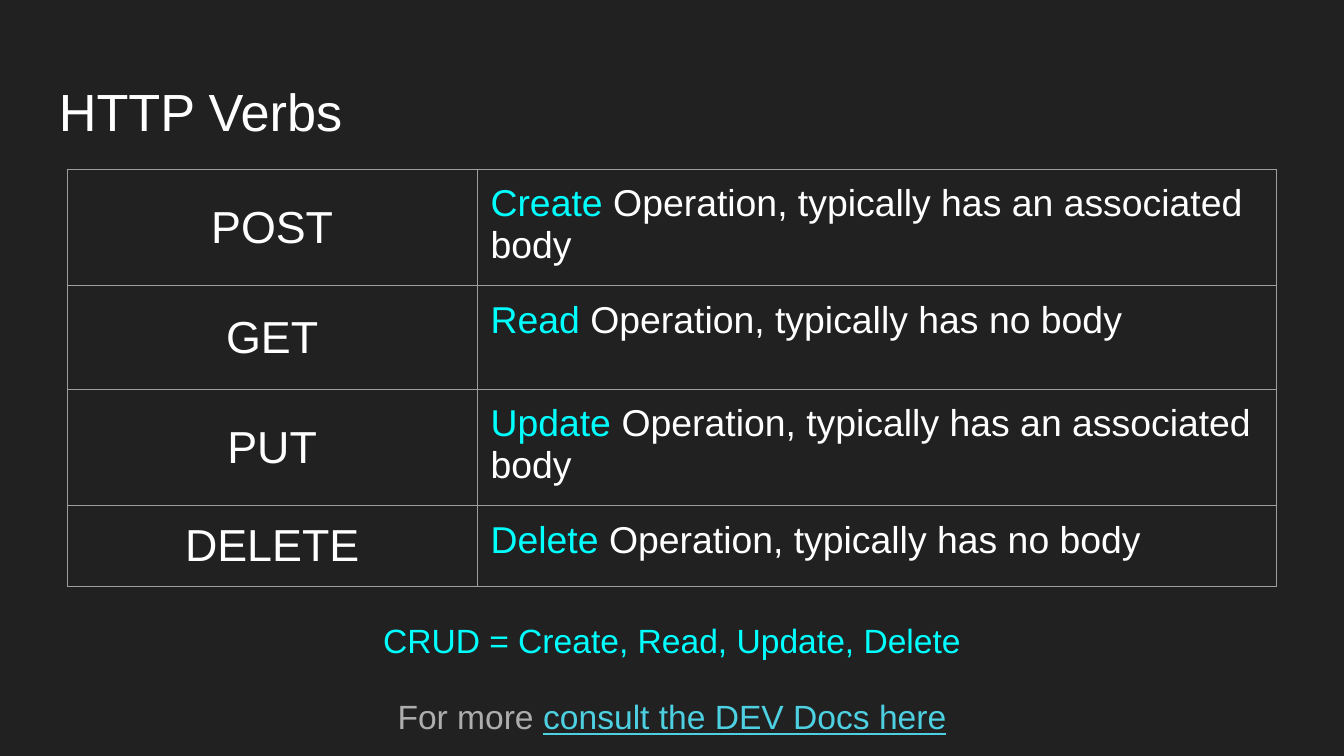
from lxml import etree
from pptx import Presentation, util as u
from pptx.dml.color import RGBColor
from pptx.enum import text
from pptx.oxml.ns import qn

# Content
TITLE = "HTTP Verbs"
VERBS = [  # verb, operation, rest of line, least row height
    ("POST", "Create", " Operation, typically has an associated body", 0.67),
    ("GET", "Read", " Operation, typically has no body", 0.77),
    ("PUT", "Update", " Operation, typically has an associated body", 0.42),
    ("DELETE", "Delete", " Operation, typically has no body", 0.58),
]
CRUD = "CRUD = Create, Read, Update, Delete"
MORE = ("For more ", "consult the DEV Docs here")
HUES = {"back": "212121", "text": "FFFFFF", "key": "00FFFF",
        "grey": "ADADAD", "link": "4DD0E1", "rule": "9E9E9E"}

# Layout
WIDE = 10
HIGH = WIDE * 9 / 16
EDGE, PAD = 0.34, 0.1
LEFT, TOP = 0.5, 1.26
COLS = (3.05, 5.95)


def rgb(hue):
    return RGBColor.from_string(HUES[hue])


def style(par, size, align=text.PP_ALIGN.LEFT):
    par.font.size, par.font.name = u.Pt(size), "Arial"
    par.alignment = align


def add_run(par, words, hue):
    run = par.add_run()
    run.text = words
    run.font.color.rgb = rgb(hue)
    return run


def pad(item):
    item.margin_left = item.margin_right = u.Inches(PAD)
    item.margin_top = item.margin_bottom = u.Inches(PAD)


def add_box(top, high):
    box = slide.shapes.add_textbox(
        *map(u.Inches, (EDGE, top, WIDE - 2 * EDGE, high)))
    frame = box.text_frame
    frame.word_wrap = True
    pad(frame)
    return frame


def rule(cell):
    props = cell._tc.get_or_add_tcPr()
    for i, side in enumerate(("lnL", "lnR", "lnT", "lnB")):
        line = etree.Element(qn("a:" + side), w=str(u.Pt(0.75)))
        fill = etree.SubElement(line, qn("a:solidFill"))
        etree.SubElement(fill, qn("a:srgbClr"), val=HUES["rule"])
        props.insert(i, line)


deck = Presentation()
deck.slide_width, deck.slide_height = u.Inches(WIDE), u.Inches(HIGH)
slide = deck.slides.add_slide(deck.slide_layouts[6])
slide.background.fill.solid()
slide.background.fill.fore_color.rgb = rgb("back")

# Title
par = add_box(0.49, 0.63).paragraphs[0]
style(par, 28)
add_run(par, TITLE, "text")

# Verb table
tall = sum(row[-1] for row in VERBS)
grid = slide.shapes.add_table(
    len(VERBS), len(COLS),
    *map(u.Inches, (LEFT, TOP, sum(COLS), tall))).table
grid.first_row = grid.horz_banding = False
for col, wide in zip(grid.columns, COLS):
    col.width = u.Inches(wide)
for row, (verb, task, rest, high) in zip(grid.rows, VERBS):
    row.height = u.Inches(high)
    for cell in row.cells:
        pad(cell)
        cell.fill.background()
        rule(cell)
    name, note = row.cells
    name.vertical_anchor = text.MSO_ANCHOR.MIDDLE
    par = name.text_frame.paragraphs[0]
    style(par, 24, text.PP_ALIGN.CENTER)
    add_run(par, verb, "text")
    par = note.text_frame.paragraphs[0]
    style(par, 20)
    add_run(par, task, "key")
    add_run(par, rest, "text")

# Closing lines
frame = add_box(4.47, 1.1)
first, last = frame.paragraphs[0], frame.add_paragraph()
for par in (first, last):
    style(par, 18, text.PP_ALIGN.CENTER)
    par.line_spacing = 1.15
last.space_before = u.Pt(16)
add_run(first, CRUD, "key")
add_run(last, MORE[0], "grey")
add_run(last, MORE[1], "link").font.underline = True

deck.save("out.pptx")
